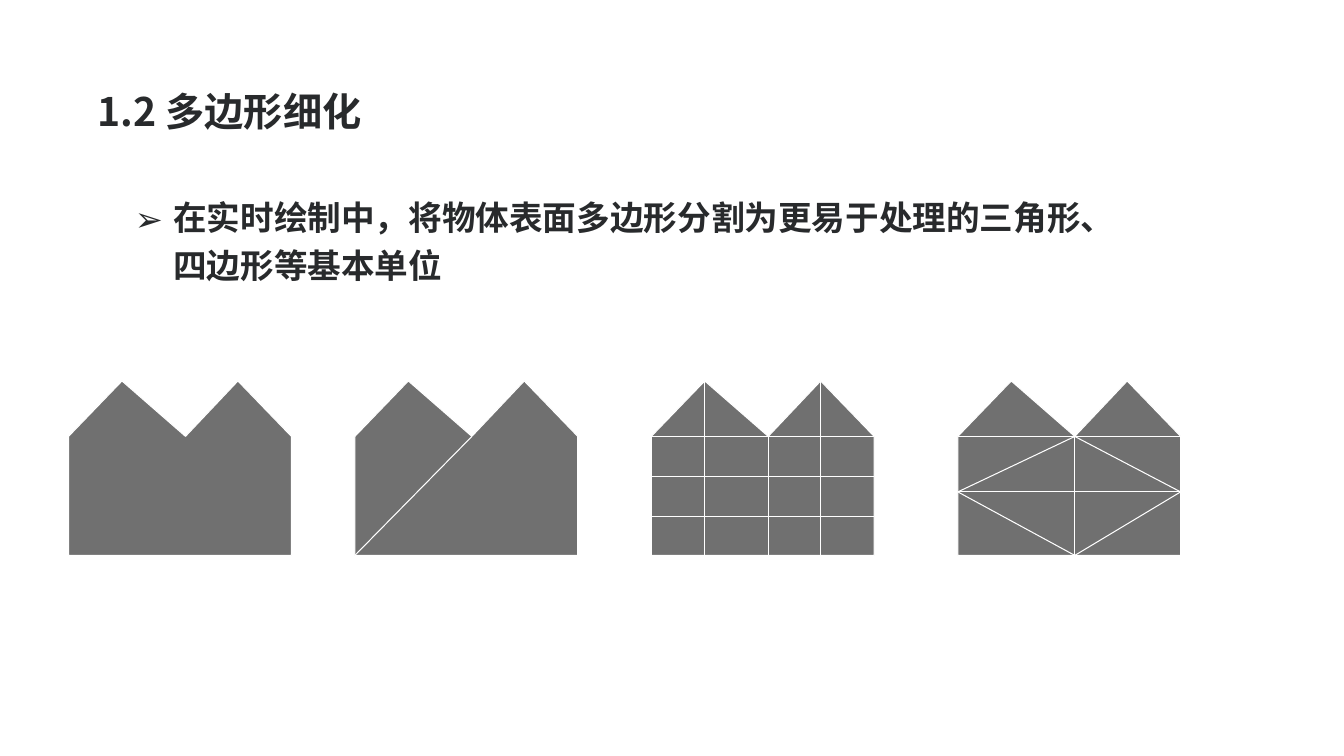
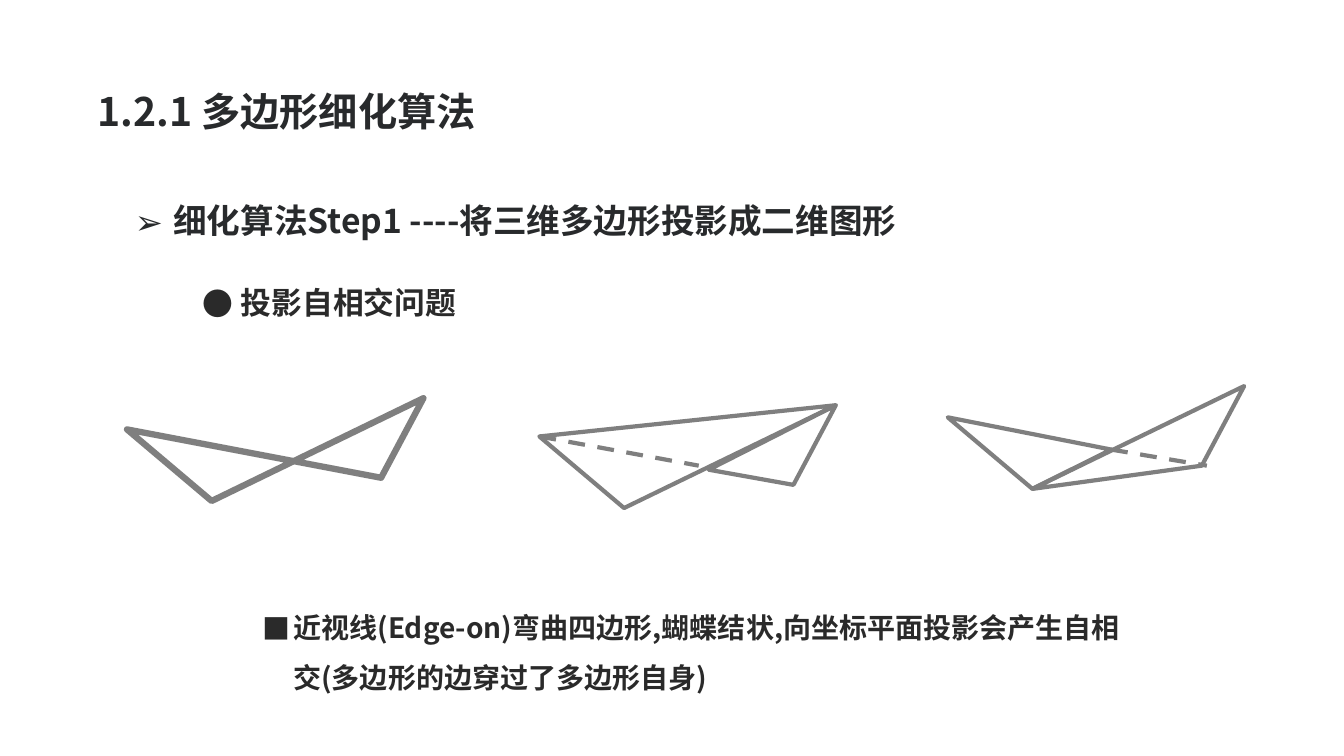
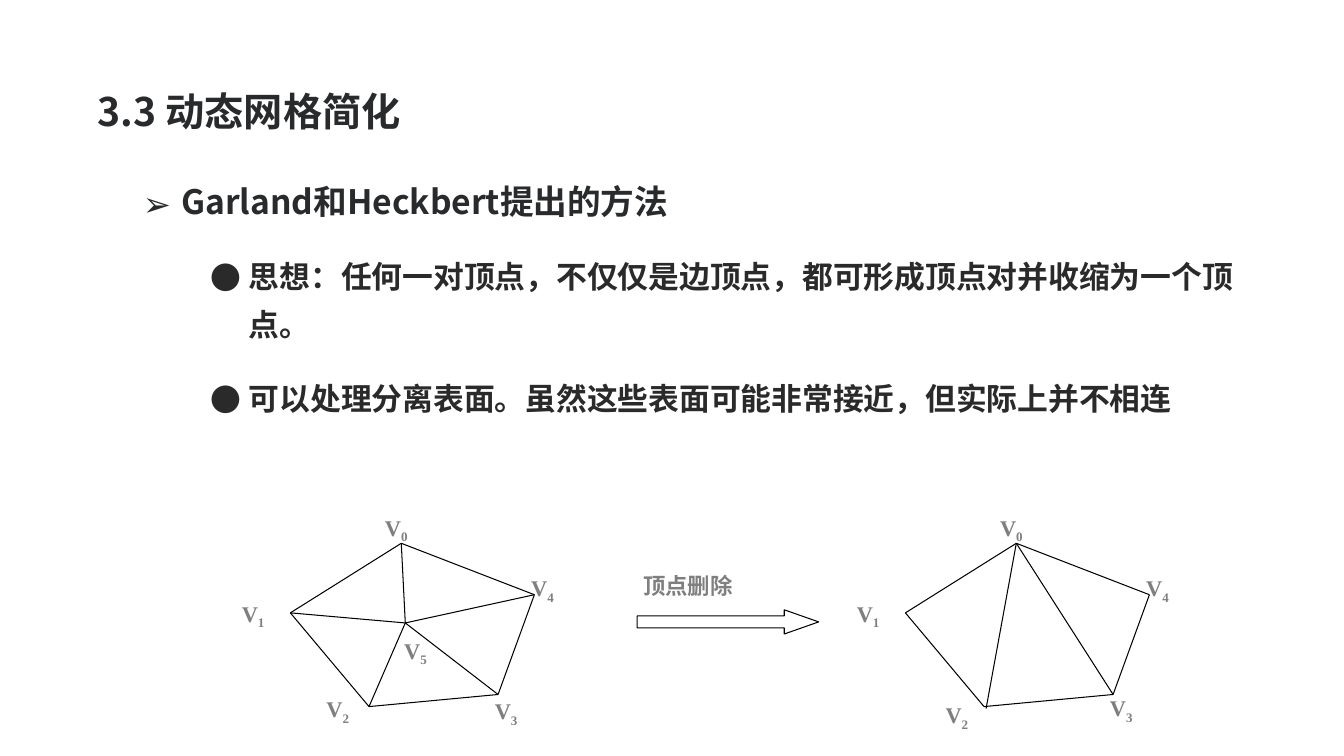
from dataclasses import dataclass

import lxml.etree
import pptx
import pptx.dml.color
import pptx.enum.dml
import pptx.enum.shapes
import pptx.enum.text
import pptx.oxml.ns
import pptx.shapes.base
import pptx.slide
import pptx.text.text
import pptx.util

PX = 9144  # EMU in one px, 100 px to the inch
HUES = {
    "title": "282A2C", "body": "2A2A2A", "house": "707070", "grey": "7F7F7F",
    "white": "FFFFFF", "black": "000000",
}
SANS = "Noto Sans CJK SC"
SERIF = "Times New Roman"
LEFT = pptx.enum.text.PP_ALIGN.LEFT
JUST = pptx.enum.text.PP_ALIGN.JUSTIFY
TOP = pptx.enum.text.MSO_ANCHOR.TOP
MID = pptx.enum.text.MSO_ANCHOR.MIDDLE

Point = tuple[int, int]
Edge = tuple[Point, Point]


@dataclass(frozen=True)
class Bullet:
    mark: str
    left: int
    hang: int


@dataclass(frozen=True)
class House:
    left: int
    cuts: tuple[Edge, ...] = ()


@dataclass(frozen=True)
class Bow:
    """A projected quad: outlines and a hidden edge, from its own corner."""
    left: int
    top: int
    width: float
    rings: tuple[tuple[Point, ...], ...]
    hidden: Edge | None = None


@dataclass(frozen=True)
class Mesh:
    shift: int
    spokes: tuple[Edge, ...]
    marks: tuple[Point, ...]


ARROW = Bullet("➢", 78, 38)
DOT = Bullet("●", 145, 38)
SQUARE = Bullet("■", 197, 31)

ROOF = 378
WALL, FLOOR, WIDE = 55, 173, 221
PEAK_A, DIP, PEAK_B = 53, 116, 168
HALF = 110
OUTLINE = ((0, FLOOR), (0, WALL), (PEAK_A, 0), (DIP, WALL),
           (PEAK_B, 0), (WIDE, WALL), (WIDE, FLOOR))
RIM = ((DIP, WALL), (WIDE, HALF), (DIP, FLOOR), (0, HALF))
HOUSES = (
    House(68),
    House(352, (((DIP, WALL), (0, FLOOR)),)),
    House(646, (
        *(((x, y), (x, FLOOR)) for x, y in ((PEAK_A, 0), (DIP, WALL), (PEAK_B, 0))),
        *(((0, y), (WIDE, y)) for y in (WALL, 95, 134)),
    )),
    House(950, (
        *zip(RIM, RIM[1:] + RIM[:1]),
        ((0, WALL), (WIDE, WALL)),
        ((0, HALF), (WIDE, HALF)),
        ((DIP, WALL), (DIP, FLOOR)),
    )),
)

WEST, SOUTH, EAST, NORTH = (0, 31), (84, 102), (252, 79), (294, 0)
NEAR, FAR = (168, 64), (162, 63)
BOWS = (
    Bow(126, 395, 4.5, ((SOUTH, WEST, EAST, NORTH),)),
    Bow(535, 402, 3, ((WEST, SOUTH, NORTH), (NORTH, EAST, NEAR)), (WEST, (158, 60))),
    Bow(940, 383, 3, ((SOUTH, EAST, NORTH), (SOUTH, WEST, FAR)), (FAR, (257, 79))),
)

V0, V1, V2, V3, V4, V5 = (398, 539), (288, 608), (366, 701), (494, 689), (530, 590), (402, 618)
RING = (V0, V1, V2, V3, V4)
MESHES = (
    Mesh(0, tuple((V5, tip) for tip in RING),
         ((372, 505), (230, 590), (314, 685), (481, 687), (517, 565), (391, 627))),
    Mesh(610, ((V0, (368, 703)), (V0, V3)),
         ((372, 505), (230, 590), (318, 691), (481, 684), (517, 565))),
)


def px(count: int) -> pptx.util.Emu:
    return pptx.util.Emu(count * PX)


def hue(name: str) -> pptx.dml.color.RGBColor:
    return pptx.dml.color.RGBColor.from_string(HUES[name])


def child(node: lxml.etree._Element, tag: str, **attrs: str) -> lxml.etree._Element:
    return lxml.etree.SubElement(node, pptx.oxml.ns.qn(tag), attrs)


def move(points: tuple[Point, ...], left: int, top: int) -> list[Point]:
    return [(left + x, top + y) for x, y in points]


def frame(slide: pptx.slide.Slide, left: int, top: int, width: int, height: int, *,
          side: int = 10, edge: int = 5,
          anchor: pptx.enum.text.MSO_ANCHOR = TOP) -> pptx.text.text.TextFrame:
    """Add an empty wrapping text box."""
    area = slide.shapes.add_textbox(px(left), px(top), px(width), px(height)).text_frame
    area.word_wrap = True
    area.vertical_anchor = anchor
    area.margin_left = area.margin_right = px(side)
    area.margin_top = area.margin_bottom = px(edge)
    return area


def write(area: pptx.text.text.TextFrame, text: str, *, size: int, color: str = "body",
          face: str = SANS, sub: str = "", bullet: Bullet | None = None,
          lead: float = 1.0, before: int = 0,
          align: pptx.enum.text.PP_ALIGN = LEFT) -> None:
    """Add a bold paragraph, with an optional subscript at its end."""
    first = area.paragraphs[0]
    par = area.add_paragraph() if first.runs else first
    par.alignment = align
    par.line_spacing = lead
    par.space_before = pptx.util.Pt(before)
    if bullet:
        props = par._p.get_or_add_pPr()
        props.set("marL", str(px(bullet.left)))
        props.set("indent", str(px(-bullet.hang)))
        child(props, "a:buFont", typeface=SANS)
        child(props, "a:buChar", char=bullet.mark)
    for part in filter(None, (text, sub)):
        run = par.add_run()
        run.text = part
        run.font.size = pptx.util.Pt(size)
        run.font.bold = True
        run.font.name = face
        run.font.color.rgb = hue(color)
        props = run._r.get_or_add_rPr()
        child(props, "a:ea", typeface=SANS)
        if part is sub:
            props.set("baseline", "-25000")


def line(slide: pptx.slide.Slide, edge: Edge, color: str, width: float = 0.75,
         dash: bool = False) -> None:
    (ax, ay), (bx, by) = edge
    link = slide.shapes.add_connector(
        pptx.enum.shapes.MSO_CONNECTOR.STRAIGHT, px(ax), px(ay), px(bx), px(by))
    link.line.color.rgb = hue(color)
    link.line.width = pptx.util.Pt(width)
    if dash:
        link.line.dash_style = pptx.enum.dml.MSO_LINE.DASH
    child(link._element.spPr, "a:effectLst")


def paint(shape: pptx.shapes.base.BaseShape, edge: str, width: float = 0.75,
          fill: str = "") -> None:
    shape.shadow.inherit = False
    if fill:
        shape.fill.solid()
        shape.fill.fore_color.rgb = hue(fill)
    else:
        shape.fill.background()
    shape.line.color.rgb = hue(edge)
    shape.line.width = pptx.util.Pt(width)
    child(shape.line._get_or_add_ln(), "a:round")


def ring(slide: pptx.slide.Slide, points: list[Point], edge: str, width: float = 0.75,
         fill: str = "") -> None:
    """Draw a closed outline."""
    pen = slide.shapes.build_freeform(*points[0], scale=PX)
    pen.add_line_segments(points[1:], close=True)
    paint(pen.convert_to_shape(), edge, width, fill)


def start(deck: pptx.presentation.Presentation, title: str) -> pptx.slide.Slide:
    """Add a blank slide with its title."""
    slide = deck.slides.add_slide(deck.slide_layouts[6])
    area = frame(slide, 92, 40, 1150, 145, side=5, anchor=MID)
    write(area, title, size=28, color="title", lead=0.9)
    return slide


def split(deck: pptx.presentation.Presentation) -> None:
    slide = start(deck, "1.2 多边形细化")
    body = frame(slide, 84, 177, 1009, 450, edge=10)
    write(body, "在实时绘制中，将物体表面多边形分割为更易于处理的三角形、四边形等基本单位",
          size=24, color="title", bullet=ARROW, lead=1.2)
    for house in HOUSES:
        ring(slide, move(OUTLINE, house.left, ROOF), "white", fill="house")
        for cut in house.cuts:
            line(slide, tuple(move(cut, house.left, ROOF)), "white")


def project(deck: pptx.presentation.Presentation) -> None:
    slide = start(deck, "1.2.1 多边形细化算法")
    body = frame(slide, 84, 180, 1150, 476, edge=10)
    write(body, "细化算法Step1 ----将三维多边形投影成二维图形",
          size=24, color="title", bullet=ARROW, lead=1.2)
    write(body, "投影自相交问题", size=22, bullet=DOT, lead=1.5, before=18)
    for bow in BOWS:
        for points in bow.rings:
            ring(slide, move(points, bow.left, bow.top), "grey", bow.width)
        if bow.hidden:
            line(slide, tuple(move(bow.hidden, bow.left, bow.top)), "grey",
                 bow.width, dash=True)
    note = frame(slide, 84, 584, 1045, 111)
    write(note, "近视线(Edge-on)弯曲四边形,蝴蝶结状,向坐标平面投影会产生自相交(多边形的边穿过了多边形自身)",
          size=20, bullet=SQUARE, lead=1.5)


def reduce(deck: pptx.presentation.Presentation) -> None:
    slide = start(deck, "3.3 动态网格简化")
    body = frame(slide, 92, 174, 1150, 476, edge=10)
    write(body, "Garland和Heckbert提出的方法", size=24, color="title", bullet=ARROW, lead=0.9)
    for text in ("思想：任何一对顶点，不仅仅是边顶点，都可形成顶点对并收缩为一个顶点。",
                 "可以处理分离表面。虽然这些表面可能非常接近，但实际上并不相连"):
        write(body, text, size=22, bullet=DOT, lead=1.3, before=18)
    for mesh in MESHES:
        for edge in (*zip(RING, RING[1:] + RING[:1]), *mesh.spokes):
            line(slide, tuple(move(edge, mesh.shift, 0)), "black")
        for index, (left, top) in enumerate(move(mesh.marks, mesh.shift, 0)):
            write(frame(slide, left, top, 80, 50), "V", sub=str(index), size=16,
                  color="grey", face=SERIF, align=JUST)
    arrow = slide.shapes.add_shape(
        pptx.enum.shapes.MSO_SHAPE.RIGHT_ARROW, px(632), px(605), px(180), px(24))
    arrow.adjustments[0] = 0.5
    arrow.adjustments[1] = 1.42
    paint(arrow, "black")
    write(frame(slide, 628, 563, 260, 57), "顶点删除", size=16, color="grey",
          face=SERIF, align=JUST)


def main() -> None:
    deck = pptx.Presentation()
    deck.slide_width, deck.slide_height = px(1333), px(750)
    for draw in (split, project, reduce):
        draw(deck)
    deck.save("out.pptx")


if __name__ == "__main__":
    main()
